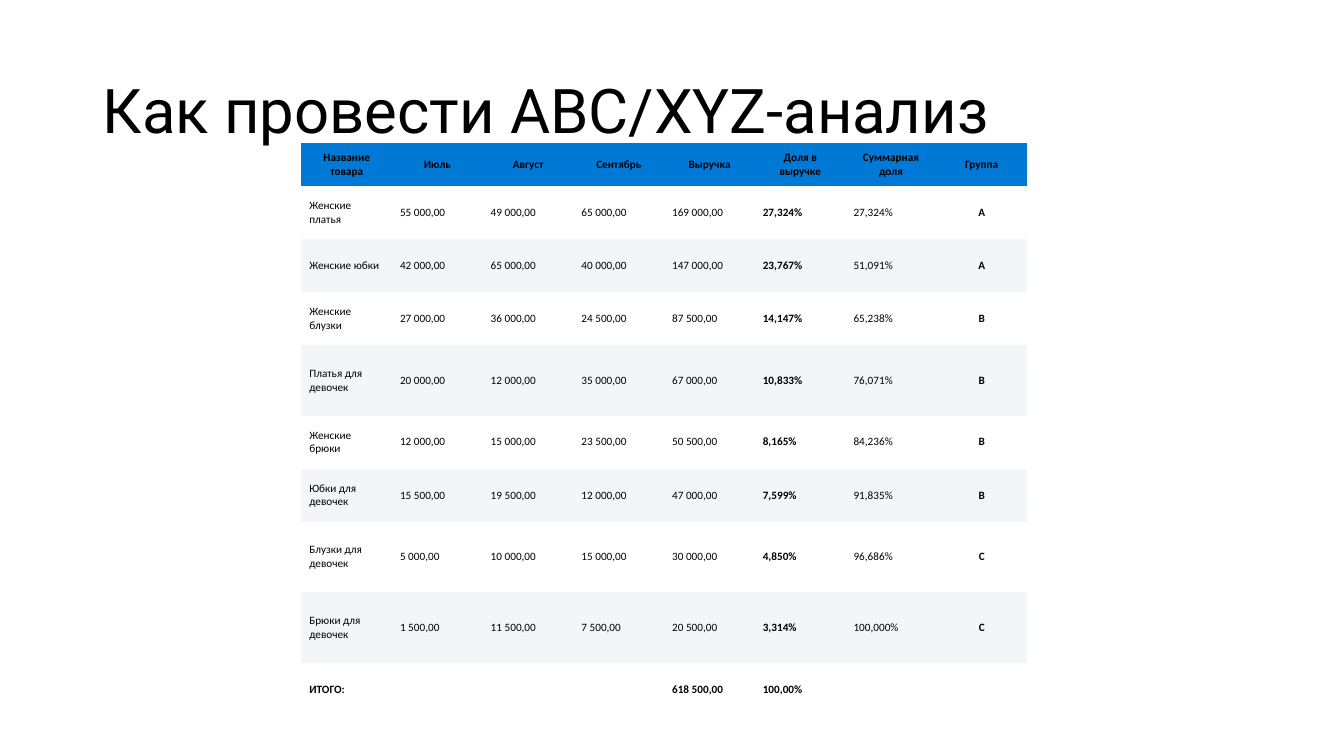
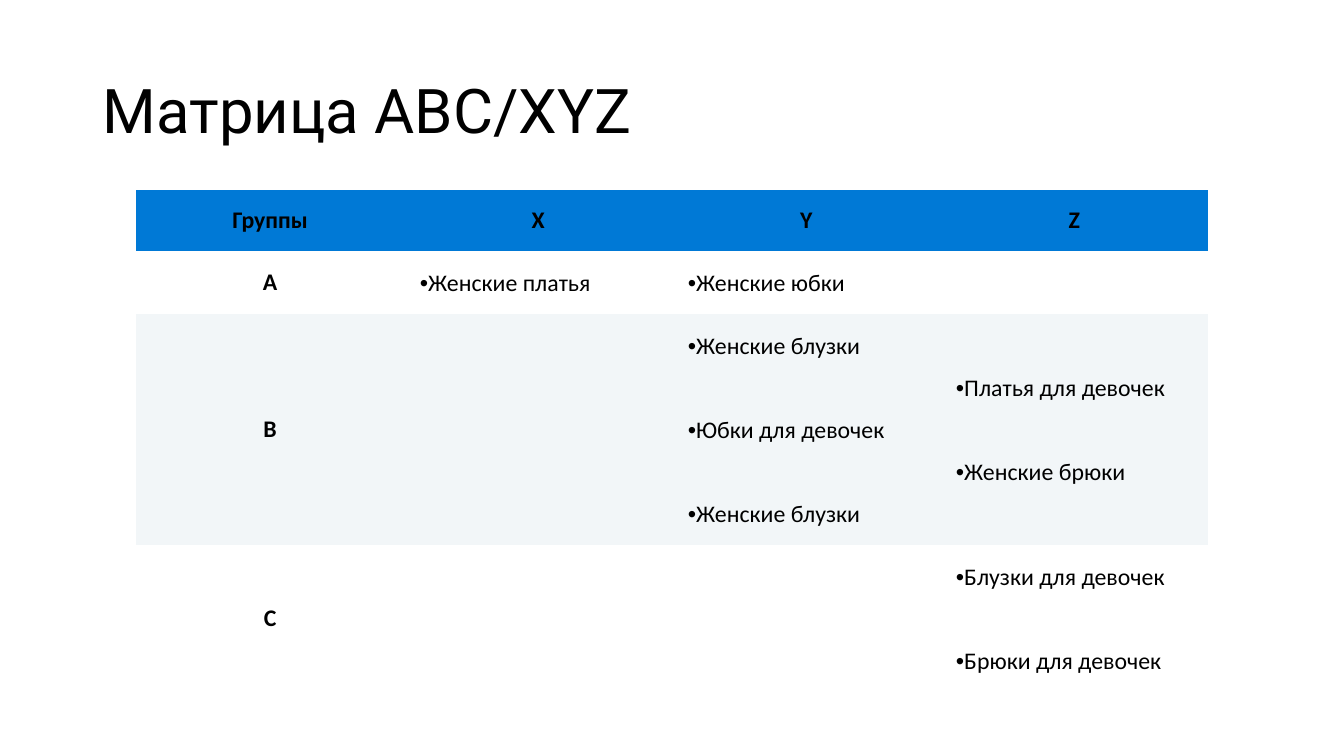
import pptx
import pptx.dml.color
import pptx.enum.text
import pptx.oxml.ns
import pptx.util
from lxml import etree

BLACK = pptx.dml.color.RGBColor(0x00, 0x00, 0x00)
WHITE = pptx.dml.color.RGBColor(0xFF, 0xFF, 0xFF)
BLUE = pptx.dml.color.RGBColor(0x00, 0x79, 0xD6)
PALE = pptx.dml.color.RGBColor(0xF2, 0xF6, 0xF8)

TITLE_FONT = "Roboto"
TABLE_FONT = "Calibri"
BULLET_FONT = "Arial"
PLAIN_TABLE_STYLE = "{2D5ABB26-0587-4C30-8999-92F81FD0307C}"

LEFT = pptx.enum.text.PP_ALIGN.LEFT
CENTER = pptx.enum.text.PP_ALIGN.CENTER
MIDDLE = pptx.enum.text.MSO_ANCHOR.MIDDLE

SALES_HEADER = ["Название товара", "Июль", "Август", "Сентябрь", "Выручка",
                "Доля в выручке", "Суммарная доля", "Группа"]
SALES = [
    ["Женские платья", "55 000,00", "49 000,00", "65 000,00", "169 000,00", "27,324%", "27,324%", "A"],
    ["Женские юбки", "42 000,00", "65 000,00", "40 000,00", "147 000,00", "23,767%", "51,091%", "A"],
    ["Женские блузки", "27 000,00", "36 000,00", "24 500,00", "87 500,00", "14,147%", "65,238%", "B"],
    ["Платья для девочек", "20 000,00", "12 000,00", "35 000,00", "67 000,00", "10,833%", "76,071%", "B"],
    ["Женские брюки", "12 000,00", "15 000,00", "23 500,00", "50 500,00", "8,165%", "84,236%", "B"],
    ["Юбки для девочек", "15 500,00", "19 500,00", "12 000,00", "47 000,00", "7,599%", "91,835%", "B"],
    ["Блузки для девочек", "5 000,00", "10 000,00", "15 000,00", "30 000,00", "4,850%", "96,686%", "C"],
    ["Брюки для девочек", "1 500,00", "11 500,00", "7 500,00", "20 500,00", "3,314%", "100,000%", "C"],
    ["ИТОГО:", "", "", "", "618 500,00", "100,00%", "", ""],
]

MATRIX_HEADER = ["Группы", "X", "Y", "Z"]
MATRIX = [
    ["A", "Женские платья", "Женские юбки", ""],
    ["B", "", "Женские блузки\nЮбки для девочек\nЖенские блузки",
     "Платья для девочек\nЖенские брюки"],
    ["C", "", "", "Блузки для девочек\nБрюки для девочек"],
]


def add_bullet(para, mark):
    properties = para._p.get_or_add_pPr()
    for tag, name, value in (("a:buFont", "typeface", BULLET_FONT),
                             ("a:buChar", "char", mark)):
        etree.SubElement(properties, pptx.oxml.ns.qn(tag)).set(name, value)


def write(frame, text, font=TABLE_FONT, size=12, bold=False, align=LEFT,
          line=None, before=0, after=0, bullet=None):
    """Fill a text frame, one paragraph per line of text."""
    for index, words in enumerate(text.split("\n")):
        para = frame.add_paragraph() if index else frame.paragraphs[0]
        if bullet:
            add_bullet(para, bullet)
        para.alignment = align
        if line:
            para.line_spacing = line
        if before and index:
            para.space_before = pptx.util.Pt(before)
        if after:
            para.space_after = pptx.util.Pt(after)
        span = para.add_run()
        span.text = words
        span.font.name = font
        span.font.size = pptx.util.Pt(size)
        span.font.bold = bold
        span.font.color.rgb = BLACK


class Slides:
    """The deck and its current page; lengths are percentages of the slide."""

    def __init__(self):
        self.deck = pptx.Presentation()
        self.deck.slide_width = pptx.util.Inches(13.33)
        self.deck.slide_height = pptx.util.Inches(7.5)
        self.page = None

    def across(self, share):
        return round(self.deck.slide_width * share / 100)

    def down(self, share):
        return round(self.deck.slide_height * share / 100)

    def add_page(self, title):
        self.page = self.deck.slides.add_slide(self.deck.slide_layouts[5])
        box = self.page.shapes.title
        box.left, box.top = self.across(6.9), self.down(5.33)
        box.width, box.height = self.across(86.25), self.down(19.33)
        frame = box.text_frame
        frame.auto_size = pptx.enum.text.MSO_AUTO_SIZE.NONE
        frame.vertical_anchor = MIDDLE
        write(frame, title, font=TITLE_FONT, size=44, line=0.9)

    def add_table(self, left, top, width, heights, header, body, column_formats,
                  size, margin, total=False):
        """Draw a striped table; total makes its last row bold."""
        rows = [header] + body
        shape = self.page.shapes.add_table(
            len(rows), len(header), self.across(left), self.down(top),
            self.across(width), self.down(sum(heights)))
        for style in shape.element.iter(pptx.oxml.ns.qn("a:tableStyleId")):
            style.text = PLAIN_TABLE_STYLE
        table = shape.table
        for column in table.columns:
            column.width = self.across(width / len(header))
        for row_index, (row, height) in enumerate(zip(rows, heights)):
            table.rows[row_index].height = self.down(height)
            for column_index, text in enumerate(row):
                if row_index == 0:
                    fill, look = BLUE, {"bold": True, "align": CENTER}
                else:
                    fill = WHITE if row_index % 2 else PALE
                    look = dict(column_formats.get(column_index, {}))
                    if total and row_index == len(body):
                        look["bold"] = True
                self.fill_cell(table.cell(row_index, column_index), text, fill,
                               margin, size=size, **look)

    def fill_cell(self, cell, text, fill, margin, **look):
        cell.fill.solid()
        cell.fill.fore_color.rgb = fill
        cell.vertical_anchor = MIDDLE
        cell.margin_left = cell.margin_right = self.down(margin)
        cell.margin_top = cell.margin_bottom = self.down(margin)
        if text:
            write(cell.text_frame, text, **look)


def main():
    slides = Slides()
    group = {"bold": True, "align": CENTER}

    slides.add_page("Как провести ABC/XYZ-анализ")
    short, tall = 7.02, 9.33
    slides.add_table(
        22.43, 18.86, 54,
        [5.69, short, short, short, tall, short, short, tall, tall, short],
        SALES_HEADER, SALES, {5: {"bold": True}, 7: group},
        size=8, margin=1.04, total=True)

    slides.add_page("Матрица ABC/XYZ")
    products = {"bullet": "•", "line": pptx.util.Pt(22.5), "before": 22.5, "after": 15}
    slides.add_table(
        10.13, 25.14, 79.77, [8, 8.33, 30.55, 19.45],
        MATRIX_HEADER, MATRIX, {0: group, 1: products, 2: products, 3: products},
        size=17, margin=2.08)

    slides.deck.save("out.pptx")


if __name__ == "__main__":
    main()
